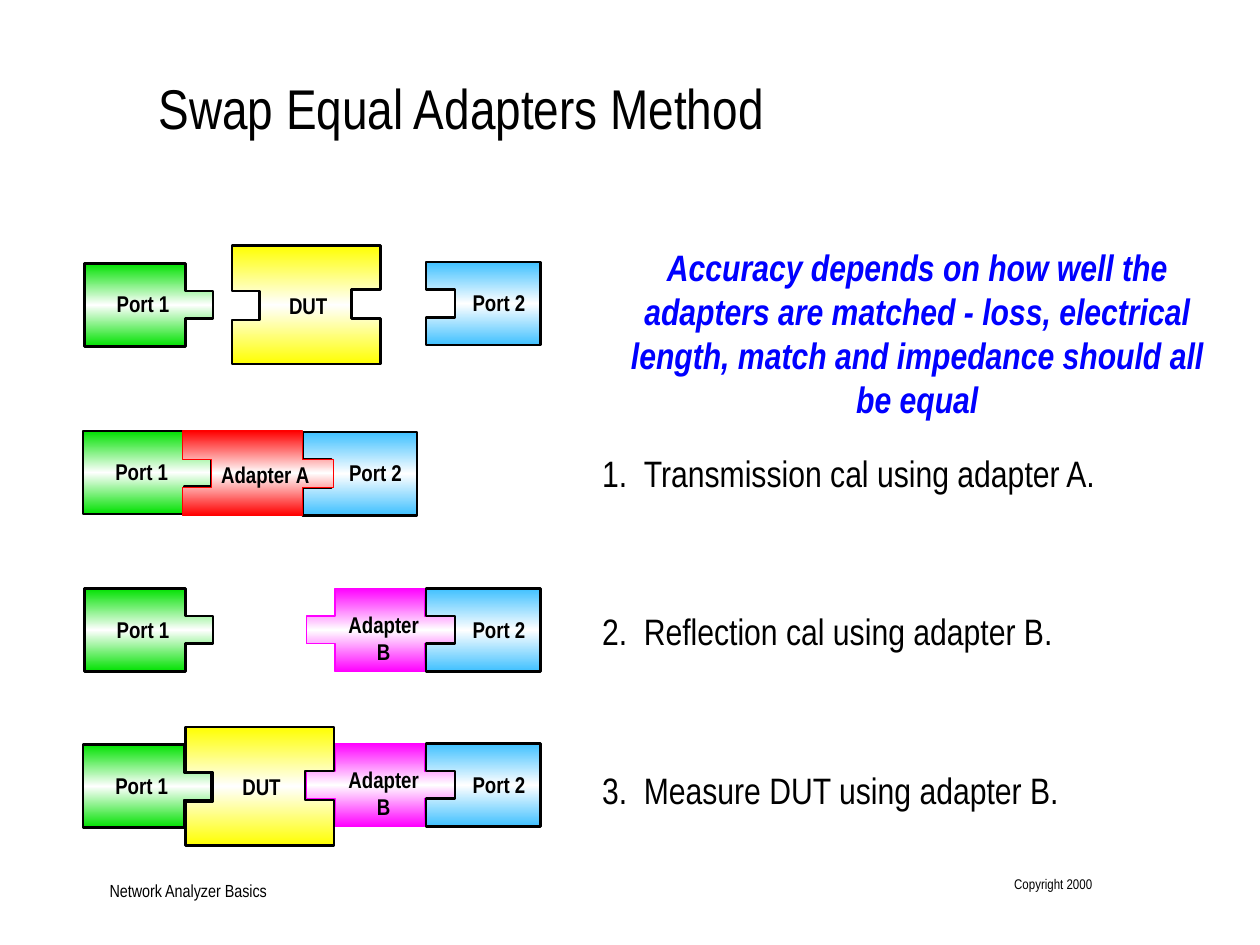
from copy import deepcopy
from pptx import Presentation
from pptx.dml.color import RGBColor
from pptx.enum.text import MSO_ANCHOR, PP_ALIGN
from pptx.util import Inches, Pt

hues = {"black": "000000", "white": "FFFFFF", "blue": "0000FF", "green": "00E100",
        "sky": "3FC0FF", "yellow": "FFFF00", "red": "FF0000", "pink": "FF00FF"}

deck = Presentation()
deck.slide_width = Inches(10)
deck.slide_height = Inches(7.5)
slide = deck.slides.add_slide(deck.slide_layouts[6])


def add_text(lines, left, top, width, height, size, hue="black", bold=False,
             slant=False, align=PP_ALIGN.LEFT, anchor=MSO_ANCHOR.TOP, hang=0):
    box = slide.shapes.add_textbox(Inches(left), Inches(top), Inches(width), Inches(height))
    frame = box.text_frame
    frame.word_wrap = True
    frame.vertical_anchor = anchor
    frame.margin_left = frame.margin_right = 0
    frame.margin_top = frame.margin_bottom = 0
    for i, line in enumerate(lines):
        para = frame.add_paragraph() if i else frame.paragraphs[0]
        para.alignment = align
        if hang:
            props = para._p.get_or_add_pPr()
            props.set("marL", str(Inches(hang)))
            props.set("indent", str(-Inches(hang)))
        run = para.add_run()
        run.text = line
        run.font.name = "Arial Narrow"
        run.font.size = Pt(size)
        run.font.bold = bold
        run.font.italic = slant
        run.font.color.rgb = RGBColor.from_string(hues[hue])


def add_part(kind, left, top):
    points, hue, edge, weight, lines, label = parts[kind]
    spots = [(Inches(left + x), Inches(top + y)) for x, y in points]
    pen = slide.shapes.build_freeform(*spots[0])
    pen.add_line_segments(spots[1:], close=True)
    shape = pen.convert_to_shape()
    shape.shadow.inherit = False
    shape.fill.gradient()
    shape.fill.gradient_angle = 90
    first = shape._element.spPr.find(".//{*}gs")
    middle = deepcopy(first)
    first.addnext(middle)
    for stop, spot, tone in zip(shape.fill.gradient_stops, (0, 0.5, 1), (hue, "white", hue)):
        stop.position = spot
        stop.color.rgb = RGBColor.from_string(hues[tone])
    shape.line.color.rgb = RGBColor.from_string(hues[edge])
    shape.line.width = Pt(weight)
    x, y, width, height = label
    add_text(lines, left + x, top + y, width, height, 13, bold=True,
             align=PP_ALIGN.CENTER, anchor=MSO_ANCHOR.BOTTOM)


parts = {
    "port1": ([(0, 0), (0.8, 0), (0.8, 0.22), (1.02, 0.22), (1.02, 0.44), (0.8, 0.44),
               (0.8, 0.66), (0, 0.66)],
              "green", "black", 1.5, ["Port 1"], (0.05, 0.21, 0.83, 0.22)),
    "port2": ([(0.91, 0.66), (0, 0.66), (0, 0.44), (0.23, 0.44), (0.23, 0.22), (0, 0.22),
               (0, 0), (0.91, 0)],
              "sky", "black", 1.5, ["Port 2"], (0.25, 0.21, 0.66, 0.22)),
    "dut": ([(0, 0), (1.18, 0), (1.18, 0.35), (0.95, 0.35), (0.95, 0.58), (1.18, 0.58),
             (1.18, 0.94), (0, 0.94), (0, 0.59), (0.22, 0.59), (0.22, 0.36), (0, 0.36)],
            "yellow", "black", 1.5, ["DUT"], (0.2, 0.36, 0.81, 0.22)),
    "adaptA": ([(0, 0), (0.95, 0), (0.95, 0.23), (1.2, 0.23), (1.2, 0.45), (0.95, 0.45),
                (0.95, 0.67), (0, 0.67), (0, 0.45), (0.23, 0.45), (0.23, 0.23), (0, 0.23)],
               "red", "red", 0.75, ["Adapter A"], (0.27, 0.25, 0.77, 0.2)),
    "adaptB": ([(0.23, 0), (0.94, 0), (0.94, 0.22), (1.18, 0.22), (1.18, 0.44), (0.94, 0.44),
                (0.94, 0.66), (0.23, 0.66), (0.23, 0.44), (0, 0.44), (0, 0.22), (0.23, 0.22)],
               "pink", "pink", 0.75, ["Adapter", "B"], (0.08, 0.16, 1.07, 0.45)),
}

add_text(["Network Analyzer Basics"], 0.87, 6.97, 2.67, 0.18, 10, anchor=MSO_ANCHOR.BOTTOM)
add_text(["Copyright 2000"], 8.03, 6.95, 0.64, 0.25, 8, align=PP_ALIGN.RIGHT)
add_text(["Swap Equal Adapters Method"], 1.26, 0.58, 8.5, 0.51, 32)

for kind, left, top in [
    ("dut", 1.84, 1.95), ("port1", 0.67, 2.09), ("port2", 3.38, 2.08),
    ("port1", 0.66, 3.42), ("port2", 2.4, 3.43), ("adaptA", 1.45, 3.42),
    ("adaptB", 2.43, 4.67), ("port1", 0.67, 4.67), ("port2", 3.38, 4.67),
    ("adaptB", 2.43, 5.9), ("port1", 0.66, 5.91), ("port2", 3.38, 5.9), ("dut", 1.47, 5.77),
]:
    add_part(kind, left, top)

steps = ["Transmission cal using adapter A.", "Reflection cal using adapter B.",
         "Measure DUT using adapter B."]
for i, step in enumerate(steps):
    add_text([f"{i + 1}.\t{step}"], 4.78, 3.58 + 1.255 * i, 5.2, 0.33, 21, hang=0.33)

add_text(["Accuracy depends on how well the adapters are matched - loss, electrical length, "
          "match and impedance should all be equal"],
         4.87, 1.94, 4.82, 1.37, 21, "blue", True, True, PP_ALIGN.CENTER)

deck.save("out.pptx")
